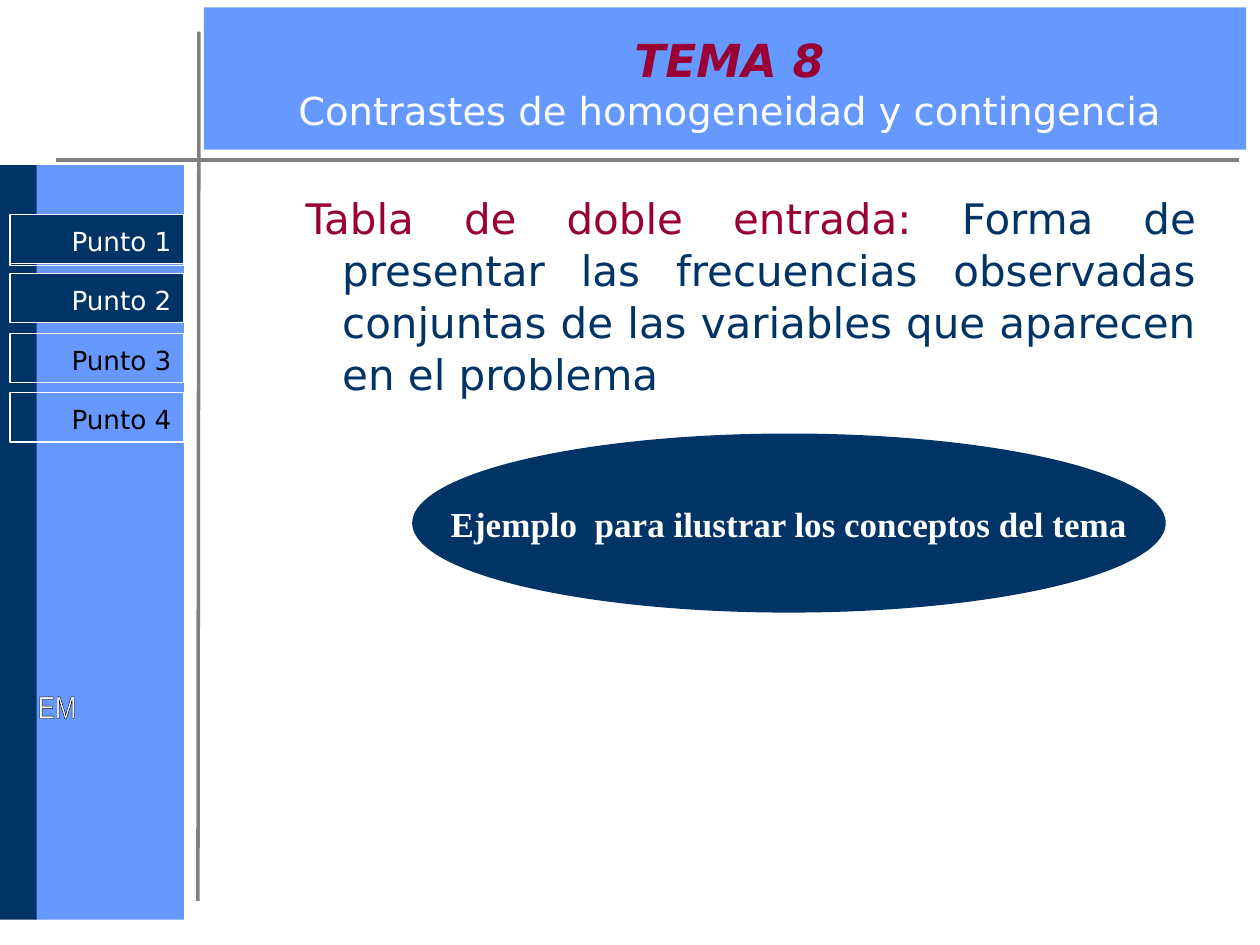
from dataclasses import dataclass

from lxml.etree import SubElement
from pptx import Presentation
from pptx.dml.color import RGBColor
from pptx.enum.shapes import MSO_CONNECTOR, MSO_SHAPE
from pptx.enum.text import MSO_ANCHOR, MSO_AUTO_SIZE, PP_ALIGN
from pptx.oxml import parse_xml
from pptx.oxml.ns import nsdecls, qn
from pptx.util import Cm, Pt


@dataclass(frozen=True)
class Theme:
    navy: str = "003366"
    blue: str = "6699FF"
    wine: str = "990033"
    gray: str = "808080"
    metal: str = "707070"
    white: str = "FFFFFF"
    black: str = "000000"
    sans: str = "DejaVu Sans"
    serif: str = "Times New Roman"
    narrow: str = "Arial Narrow"
    heading: int = 26
    subtitle: int = 22
    body: int = 24
    button: int = 15
    example: int = 20
    initials: int = 18


T = Theme()


def style_run(r, size, color, font=T.sans, bold=False, italic=False):
    r.font.name = font
    r.font.size = Pt(size)
    r.font.bold = bold
    r.font.italic = italic
    r.font.color.rgb = RGBColor.from_string(color)


def set_frame(tf, anchor=MSO_ANCHOR.TOP, wrap=True, margins=(0.25, 0.13, 0.25, 0.13)):
    tf.auto_size = MSO_AUTO_SIZE.NONE
    tf.vertical_anchor = anchor
    tf.word_wrap = wrap
    tf.margin_left, tf.margin_top, tf.margin_right, tf.margin_bottom = map(Cm, margins)


def add_block(s, box, fill=None, line=None, kind=MSO_SHAPE.RECTANGLE):
    sp = s.shapes.add_shape(kind, *map(Cm, box))
    sp.shadow.inherit = False
    if fill:
        sp.fill.solid()
        sp.fill.fore_color.rgb = RGBColor.from_string(fill)
    else:
        sp.fill.background()
    if line:
        sp.line.color.rgb = RGBColor.from_string(line)
        sp.line.width = Pt(0.75)
    else:
        sp.line.fill.background()
    return sp


def add_rule(s, *ends):
    cn = s.shapes.add_connector(MSO_CONNECTOR.STRAIGHT, *map(Cm, ends))
    cn.line.color.rgb = RGBColor.from_string(T.gray)
    cn.line.width = Pt(2)
    SubElement(cn._element.spPr, qn("a:effectLst"))


def add_button(s, number, active):
    top = 4.32 + 1.2 * (number - 1)
    sp = add_block(s, (0.2, top, 3.51, 0.99), T.navy if active else None, T.white)
    tf = sp.text_frame
    set_frame(tf, MSO_ANCHOR.MIDDLE, margins=(0.25, 0.2, 0.25, 0.13))
    tf.text = f"Punto {number}"
    p = tf.paragraphs[0]
    p.alignment = PP_ALIGN.RIGHT
    style_run(p.runs[0], T.button, T.white if active else T.black)


def add_initials(s):
    tf = s.shapes.add_textbox(Cm(0.51), Cm(13.72), Cm(4.65), Cm(4.62)).text_frame
    set_frame(tf, wrap=False)
    tf.text = "EM"
    r = tf.paragraphs[0].runs[0]
    r.font.name = T.narrow
    r.font.size = Pt(T.initials)
    stops = "".join(
        f'<a:gs pos="{pos}"><a:srgbClr val="{color}"/></a:gs>'
        for pos, color in ((0, T.metal), (50000, T.white), (100000, T.metal))
    )
    gradient = (f'<a:gradFill {nsdecls("a")}><a:gsLst>{stops}</a:gsLst>'
                '<a:lin ang="2700000" scaled="1"/></a:gradFill>')
    outline = (f'<a:ln {nsdecls("a")} w="9525"><a:solidFill>'
               f'<a:srgbClr val="{T.black}"/></a:solidFill></a:ln>')
    rPr = r._r.get_or_add_rPr()
    rPr.insert(0, parse_xml(gradient))
    rPr.insert(0, parse_xml(outline))


def add_definition(s, term, meaning):
    tf = s.shapes.add_textbox(Cm(4.9), Cm(3.73), Cm(19.46), Cm(14.07)).text_frame
    set_frame(tf)
    p = tf.paragraphs[0]
    p.alignment = PP_ALIGN.JUSTIFY
    p.line_spacing = 1.03
    pPr = p._p.get_or_add_pPr()
    pPr.set("marL", str(Cm(1.75)))
    pPr.set("indent", str(Cm(-0.74)))
    for text, color in ((term, T.wine), (meaning, T.navy)):
        r = p.add_run()
        r.text = text
        style_run(r, T.body, color)


def add_example(s, text):
    sp = add_block(s, (8.31, 8.74, 15.19, 3.61), T.navy, kind=MSO_SHAPE.OVAL)
    tf = sp.text_frame
    set_frame(tf, MSO_ANCHOR.MIDDLE, wrap=False)
    tf.text = text
    p = tf.paragraphs[0]
    p.alignment = PP_ALIGN.CENTER
    style_run(p.runs[0], T.example, T.white, T.serif, bold=True)


def set_title(s, heading, subtitle):
    sp = s.shapes.title
    sp.left, sp.top, sp.width, sp.height = map(Cm, (4.34, 0.69, 20.73, 1.96))
    tf = sp.text_frame
    set_frame(tf, MSO_ANCHOR.MIDDLE, margins=(0, 0, 0, 0))
    tf.text = f"{heading}\n{subtitle}"
    for p in tf.paragraphs:
        p.alignment = PP_ALIGN.CENTER
        p.space_before = Pt(0)
    first, second = tf.paragraphs
    style_run(first.runs[0], T.heading, T.wine, bold=True, italic=True)
    style_run(second.runs[0], T.subtitle, T.white)
    s.shapes._spTree.append(sp._element)


def main():
    prs = Presentation()
    prs.slide_width, prs.slide_height = Cm(25.4), Cm(19.05)
    s = prs.slides.add_slide(prs.slide_layouts[5])
    add_block(s, (0.69, 3.33, 3.02, 15.21), T.blue)
    add_block(s, (0, 3.33, 0.74, 15.21), T.navy)
    add_block(s, (4.11, 0.15, 21.01, 2.87), T.blue)
    add_rule(s, 1.12, 3.23, 24.97, 3.23)
    add_rule(s, 3.99, 18.16, 4.01, 0.64)
    add_block(s, (0.2, 4.37, 3.51, 0.99), line=T.white)
    add_initials(s)
    add_definition(
        s,
        "Tabla de doble entrada: ",
        "Forma de presentar las frecuencias observadas conjuntas "
        "de las variables que aparecen en el problema",
    )
    set_title(s, "TEMA 8", "Contrastes de homogeneidad y contingencia")
    for number in range(1, 5):
        add_button(s, number, active=number <= 2)
    add_example(s, "Ejemplo  para ilustrar los conceptos del tema")
    prs.save("out.pptx")


if __name__ == "__main__":
    main()
